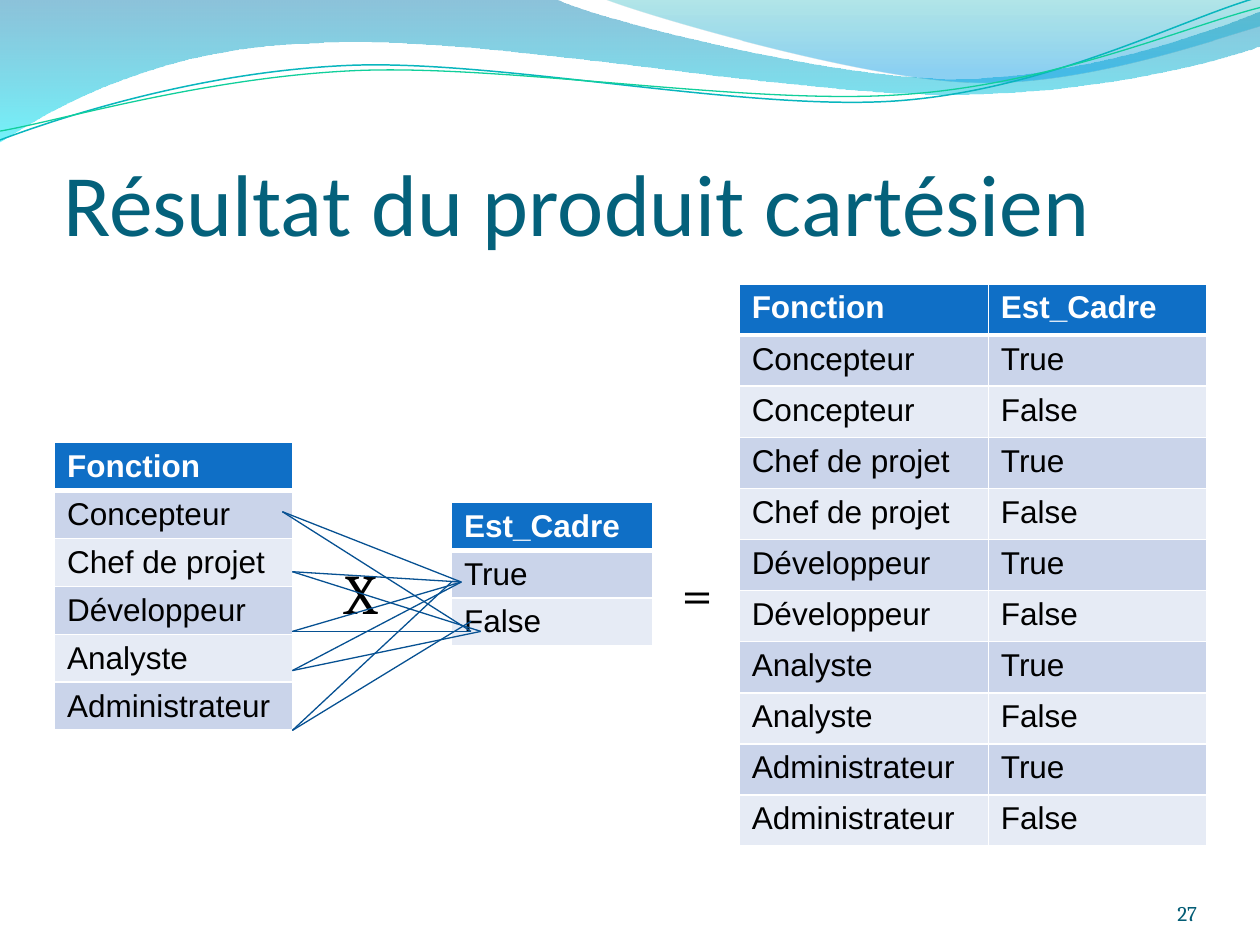
import itertools
import pptx
import pptx.dml.color
import pptx.enum.shapes
import pptx.enum.text
import pptx.oxml
import pptx.oxml.ns
import pptx.util

Pt = pptx.util.Pt
Align = pptx.enum.text.PP_ALIGN
Anchor = pptx.enum.text.MSO_ANCHOR

TITLE = "Résultat du produit cartésien"
JOBS = ["Concepteur", "Chef de projet", "Développeur", "Analyste", "Administrateur"]
FLAGS = ["True", "False"]
HEADS = ["Fonction", "Est_Cadre"]
HEAD, BANDS = "0F6FC6", ["CAD4EA", "E6EBF5"]

TABLES = [
    (422.4, 162.3, [142.4, 124.6], 29.2, [HEADS, *itertools.product(JOBS, FLAGS)]),
    (31.2, 252.9, [136], 27.4, [HEADS[:1], *([job] for job in JOBS)]),
    (258, 287, [115], 27.4, [HEADS[1:], *([flag] for flag in FLAGS)]),
]
SIGNS = [(189.8, "X"), (382.4, "=")]
LINKS = [
    ((161.4, 292.4), [(263.6, 332.6), (269.2, 360.8)]),
    ((167.1, 326.7), [(263.6, 332.6), (274.8, 360.8)]),
    ((167.1, 360.8), [(263.6, 332.6), (269.2, 360.8)]),
    ((167.1, 383.2), [(263.6, 332.6), (274.8, 360.8)]),
    ((167.1, 417.4), [(258, 332.6), (269.2, 355)]),
]
BLUE = [(0, "0079AD", 45), (100, "00E9F7", 55)]
TEAL = [(0, "00ABB4", 30), (80, "0099E4", 45), (100, "0099E4", 45)]
WAVES = [
    ((0, 0), [[(317, -0.7)], [(343, 12), (478, 45), (546, 45)],
     [(614, 45), (690, 19), (720, 6.5)], [(720.7, 26)],
     [(708, 32), (626, 55), (537, 54)], [(448, 54), (275, 20), (185, 24.5)],
     [(93, 26), (33, 60), (-0.7, 81.4)]], BLUE),
    ((345, -0.7), [[(366, 8), (491, 45), (554, 47)],
     [(616, 50), (692, 23), (720, 15)], [(720, 0)]], TEAL),
]
CURVES = [
    ((0, 80), [[(34.6, 67), (113.8, 41), (199.4, 37.4)],
     [(284.4, 33.8), (427, 64), (513.4, 57.6)],
     [(599.8, 51.1), (675.4, 10.8), (718.6, -1.4)]], "09B6BE", 0.85),
    ((0, 74.9), [[(33.8, 69.1), (118, 44), (203.8, 40.3)],
     [(290.2, 36.7), (430, 60.5), (516.2, 54)],
     [(602, 48.2), (677.5, 15.1), (720, 4.3)]], "10CF9B", 0.75),
]


def paint(part, tone):
    part.solid()
    part.fore_color.rgb = pptx.dml.color.RGBColor.from_string(tone)


def node(text):
    space = pptx.oxml.ns.nsdecls("a")
    return pptx.oxml.parse_xml(text.replace(">", f" {space}>", 1))


def write(frame, text, size=18, font="Arial", tone="000000", bold=False,
          align=Align.LEFT, anchor=Anchor.TOP, inset=None):
    frame.word_wrap = True
    frame.vertical_anchor = anchor
    if inset:
        (frame.margin_left, frame.margin_top,
         frame.margin_right, frame.margin_bottom) = map(Pt, inset)
    para = frame.paragraphs[0]
    para.alignment = align
    run = para.add_run()
    run.text = text
    run.font.size, run.font.name, run.font.bold = Pt(size), font, bold
    run.font.color.rgb = pptx.dml.color.RGBColor.from_string(tone)


def outline(shapes, start, steps, close):
    points = [(Pt(x), Pt(y)) for x, y in itertools.chain(*steps)]
    form = shapes.build_freeform(*map(Pt, start), scale=1.0)
    form.add_line_segments(points, close=close)
    shape = form.convert_to_shape()
    shape.shadow.inherit = False
    lines = iter(shape._element.findall(".//" + pptx.oxml.ns.qn("a:lnTo")))
    for step in steps:
        group = list(itertools.islice(lines, len(step)))
        if len(step) == 3:
            bend = node("<a:cubicBezTo></a:cubicBezTo>")
            group[0].addprevious(bend)
            for line in group:
                bend.append(line[0])
                line.getparent().remove(line)
    return shape


def blend(shape, stops):
    shape.fill.gradient()
    grad = shape.fill._xPr.find(pptx.oxml.ns.qn("a:gradFill"))
    for child in list(grad):
        grad.remove(child)
    marks = "".join(
        f'<a:gs pos="{at * 1000}"><a:srgbClr val="{tone}">'
        f'<a:alpha val="{alpha * 1000}"/></a:srgbClr></a:gs>'
        for at, tone, alpha in stops)
    grad.append(node(f"<a:gsLst>{marks}</a:gsLst>"))
    grad.append(node('<a:lin ang="5400000" scaled="0"></a:lin>'))


def edge(cell, widths):
    props = cell._tc.get_or_add_tcPr()
    for side, width in zip("LRTB", widths):
        props.append(node(
            f'<a:ln{side} w="{Pt(width)}"><a:solidFill><a:srgbClr val="FFFFFF"/>'
            f"</a:solidFill></a:ln{side}>"))


def grid(shapes, left, top, cols, high, rows):
    table = shapes.add_table(len(rows), len(cols), Pt(left), Pt(top),
                             Pt(sum(cols)), Pt(high * len(rows))).table
    for col, wide in zip(table.columns, cols):
        col.width = Pt(wide)
    for i, row in enumerate(rows):
        table.rows[i].height = Pt(high)
        for j, text in enumerate(row):
            cell = table.cell(i, j)
            edge(cell, (1, 1, 3 if i == 1 else 1, 3 if i == 0 else 1))
            paint(cell.fill, BANDS[(i - 1) % 2] if i else HEAD)
            write(cell.text_frame, text, bold=i == 0,
                  tone="000000" if i else "FFFFFF")


def box(shapes, left, top, wide, high, text, **style):
    area = shapes.add_textbox(Pt(left), Pt(top), Pt(wide), Pt(high))
    write(area.text_frame, text, font="Cambria", **style)


def main():
    deck = pptx.Presentation()
    deck.slide_width, deck.slide_height = Pt(720), Pt(540)
    slide = deck.slides.add_slide(deck.slide_layouts[5])
    shapes = slide.shapes
    paint(slide.background.fill, "FFFFFF")

    for start, steps, stops in WAVES:
        wave = outline(shapes, start, steps, True)
        blend(wave, stops)
        wave.line.fill.background()
    for start, steps, tone, wide in CURVES:
        curve = outline(shapes, start, steps, False)
        curve.fill.background()
        paint(curve.line.fill, tone)
        curve.line.width = Pt(wide)

    title = shapes.title
    title.left, title.top, title.width, title.height = map(Pt, (36, 55.4, 648, 90))
    title.text_frame.auto_size = pptx.enum.text.MSO_AUTO_SIZE.NONE
    write(title.text_frame, TITLE, size=50, font="Calibri", tone="04617B",
          anchor=Anchor.BOTTOM, inset=(0, 3.6, 0, 0))

    for table in TABLES:
        grid(shapes, *table)
    for left, sign in SIGNS:
        box(shapes, left, 315.4, 34, 46, sign, size=32)
    box(shapes, 624, 500.4, 60, 28.8, "27", size=12, tone="035C75",
        align=Align.RIGHT, anchor=Anchor.BOTTOM, inset=(0, 0, 0, 0))

    for start, ends in LINKS:
        for end in ends:
            link = shapes.add_connector(pptx.enum.shapes.MSO_CONNECTOR.STRAIGHT,
                                        *map(Pt, start + end))
            paint(link.line.fill, "075192")
            link.line.width = Pt(0.75)
            link._element.spPr.append(node("<a:effectLst></a:effectLst>"))

    deck.save("out.pptx")


if __name__ == "__main__":
    main()
